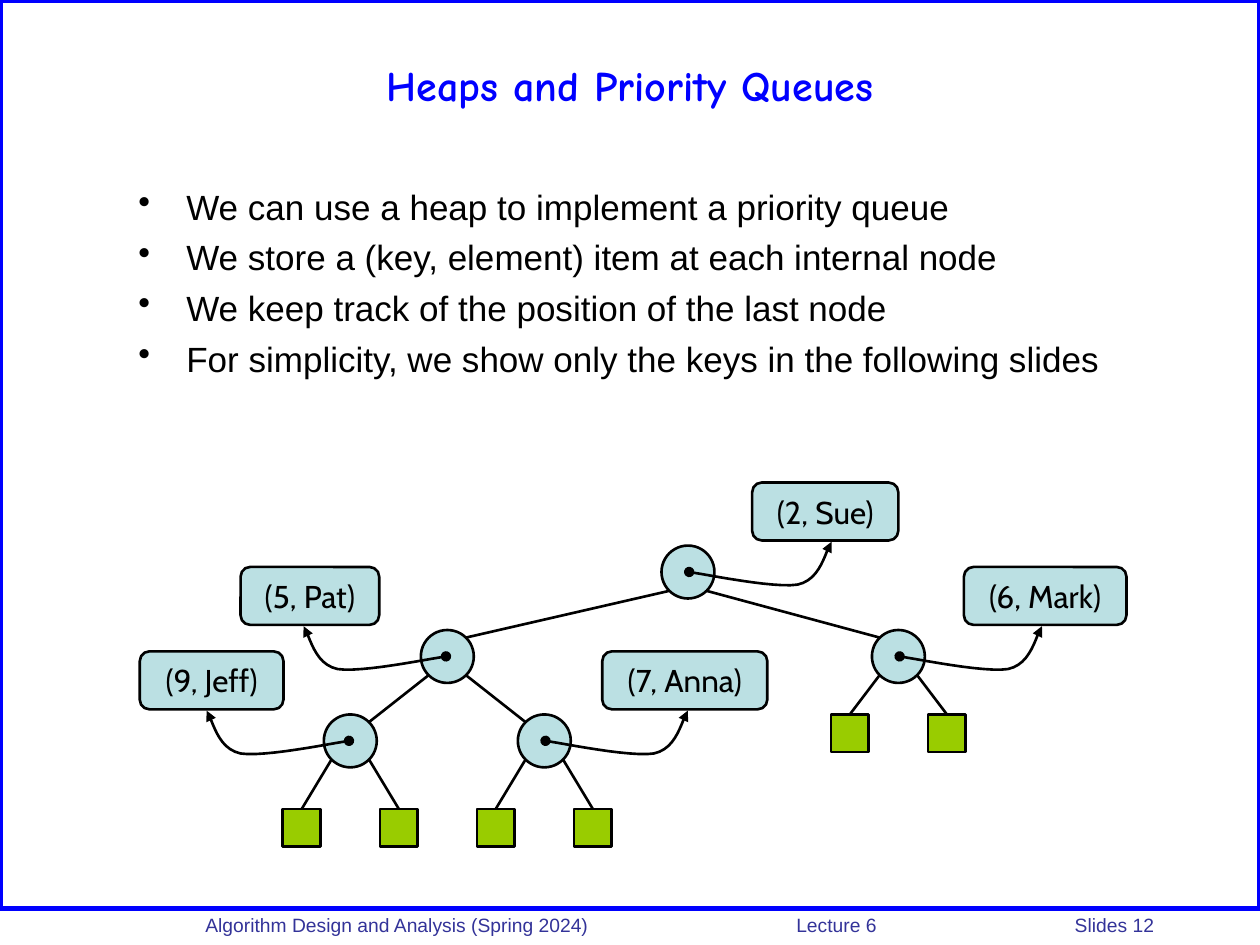
from dataclasses import dataclass

from lxml import etree
from pptx import Presentation
from pptx import util as u
from pptx.dml.color import RGBColor
from pptx.enum import shapes as shp, text as txt
from pptx.oxml import ns

NODE, LEAF = 0.42, 0.30
TEAL, GREEN, BLACK, BLUE, NAVY = "BBE0E3", "99CC00", "000000", "0000FF", "333399"
# Bezier points of a pointer, from its start at a node that points right
CURVE = [(0, 0), (0.14, 0.02), (0.67, 0.13), (0.86, 0.1),
         (1.05, 0.06), (1.08, -0.17), (1.13, -0.24)]


@dataclass
class Node:
    x: float
    y: float
    item: str
    item_x: float
    item_w: float
    side: int              # 1: item on the right, -1: on the left
    kids: tuple = ()       # indices of child nodes
    drop: float = 0.75     # from node top to leaf top

    @property
    def mid(self) -> float:
        return self.x + NODE / 2

    def corner(self, right: bool, low: bool) -> tuple:
        """Diagonal point on the circle."""
        near, far = 0.06, NODE - 0.06
        return self.x + (far if right else near), self.y + (far if low else near)


TREE = [
    Node(5.25, 4.33, "(2, Sue)", 5.97, 1.16, 1, (1, 2)),
    Node(3.34, 5.00, "(5, Pat)", 1.91, 1.10, -1, (3, 4)),
    Node(6.92, 5.00, "(6, Mark)", 7.65, 1.29, 1, drop=0.67),
    Node(2.57, 5.67, "(9, Jeff)", 1.11, 1.14, -1),
    Node(4.11, 5.67, "(7, Anna)", 4.78, 1.31, 1),
]
POINTS = ["We can use a heap to implement a priority queue",
          "We store a (key, element) item at each internal node",
          "We keep track of the position of the last node",
          "For simplicity, we show only the keys in the following slides"]


def color(code: str) -> RGBColor:
    return RGBColor.from_string(code)


def stroke(line, code: str = BLACK, width: float = 1.5) -> None:
    line.color.rgb = color(code)
    line.width = u.Pt(width)


def style(font, name: str, size: float, code: str, bold: bool = False) -> None:
    font.name, font.size, font.bold = name, u.Pt(size), bold
    font.color.rgb = color(code)


def add_box(slide, kind, x: float, y: float, w: float, h: float, fill: str = ""):
    box = slide.shapes.add_shape(kind, *map(u.Inches, (x, y, w, h)))
    box.shadow.inherit = False
    if fill:
        box.fill.solid()
        box.fill.fore_color.rgb = color(fill)
    else:
        box.fill.background()
    stroke(box.line)
    return box


def add_text(slide, x: float, y: float, w: float, h: float):
    frame = slide.shapes.add_textbox(*map(u.Inches, (x, y, w, h))).text_frame
    frame.word_wrap = True
    return frame


def add_edge(slide, start: tuple, end: tuple):
    edge = slide.shapes.add_connector(
        shp.MSO_CONNECTOR.STRAIGHT, *map(u.Inches, (*start, *end)))
    stroke(edge.line)
    etree.SubElement(edge._element.spPr, ns.qn("a:effectLst"))
    return edge


def add_pointer(slide, node: Node) -> None:
    x, y = node.mid + 0.01 * node.side, node.y + NODE / 2
    dots = []
    for i in (0, 3):
        a, b, c, d = CURVE[i:i + 4]
        for step in range(1, 13):
            t = step / 12
            s = 1 - t
            dx, dy = (s**3 * p + 3 * s * s * t * q + 3 * s * t * t * r + t**3 * v
                      for p, q, r, v in zip(a, b, c, d))
            dots.append((u.Inches(x + node.side * dx), u.Inches(y + dy)))
    path = slide.shapes.build_freeform(u.Inches(x), u.Inches(y))
    path.add_line_segments(dots, close=False)
    curve = path.convert_to_shape()
    curve.shadow.inherit = False
    curve.fill.background()
    stroke(curve.line)
    ln = curve.line._get_or_add_ln()
    for tag, kind in (("a:headEnd", "oval"), ("a:tailEnd", "triangle")):
        etree.SubElement(ln, ns.qn(tag), type=kind)


def add_item(slide, node: Node) -> None:
    box = add_box(slide, shp.MSO_SHAPE.ROUNDED_RECTANGLE,
                  node.item_x, node.y - 0.5, node.item_w, 0.46, TEAL)
    frame = box.text_frame
    frame.word_wrap = False
    frame.vertical_anchor = txt.MSO_ANCHOR.MIDDLE
    frame.text = node.item
    para = frame.paragraphs[0]
    para.alignment = txt.PP_ALIGN.CENTER
    style(para.runs[0].font, "Cabin", 18, BLACK)


def add_tree(slide) -> None:
    for node in TREE:
        add_box(slide, shp.MSO_SHAPE.OVAL, node.x, node.y, NODE, NODE, TEAL)
    for node in TREE:
        for right, kid in enumerate(node.kids):
            add_edge(slide, node.corner(bool(right), True),
                     TREE[kid].corner(not right, False))
        if not node.kids:
            for right in (False, True):
                x = node.mid + (0.385 if right else -0.385)
                top = node.y + node.drop
                leaf = add_box(slide, shp.MSO_SHAPE.RECTANGLE,
                               x - LEAF / 2, top, LEAF, LEAF, GREEN)
                edge = add_edge(slide, node.corner(right, True), (x, top))
                edge.end_connect(leaf, 0)
    for node in TREE:
        add_item(slide, node)
        add_pointer(slide, node)


def add_footer(slide) -> None:
    frame = add_text(slide, 1.33, 7.2, 8.67, 0.26)
    frame.margin_left = u.Inches(0.3)
    para = frame.paragraphs[0]
    para.text = "Algorithm Design and Analysis (Spring 2024)\tLecture 6\tSlides 12"
    tabs = etree.SubElement(para._p.get_or_add_pPr(), ns.qn("a:tabLst"))
    for pos in (4.69, 6.9):
        etree.SubElement(tabs, ns.qn("a:tab"), pos=str(u.Inches(pos)), algn="l")
    for run in para.runs:
        style(run.font, "Arial", 11, NAVY)


def add_points(slide) -> None:
    frame = add_text(slide, 1, 1.42, 8.42, 2.08)
    frame.text = "\n".join(POINTS)
    for i, para in enumerate(frame.paragraphs):
        props = para._p.get_or_add_pPr()
        props.set("marL", str(u.Inches(0.38)))
        props.set("indent", str(u.Inches(-0.38)))
        if i:
            para.space_before = u.Pt(5)
        etree.SubElement(props, ns.qn("a:buChar"), char="•")
        style(para.runs[0].font, "Arial", 20, BLACK)


def main() -> None:
    deck = Presentation()
    deck.slide_width, deck.slide_height = u.Inches(10), u.Inches(7.5)
    slide = deck.slides.add_slide(deck.slide_layouts[6])

    # Frame and footer
    frame = add_box(slide, shp.MSO_SHAPE.RECTANGLE, 0, 0, 10, 7.21)
    stroke(frame.line, BLUE, 3)
    add_footer(slide)

    # Title
    title = add_text(slide, 0.5, 0.17, 9, 1)
    title.vertical_anchor = txt.MSO_ANCHOR.MIDDLE
    title.text = "Heaps and Priority Queues"
    title.paragraphs[0].alignment = txt.PP_ALIGN.CENTER
    style(title.paragraphs[0].runs[0].font, "Comic Neue", 24, BLUE, True)

    # Body
    add_points(slide)
    add_tree(slide)
    deck.save("out.pptx")


if __name__ == "__main__":
    main()
